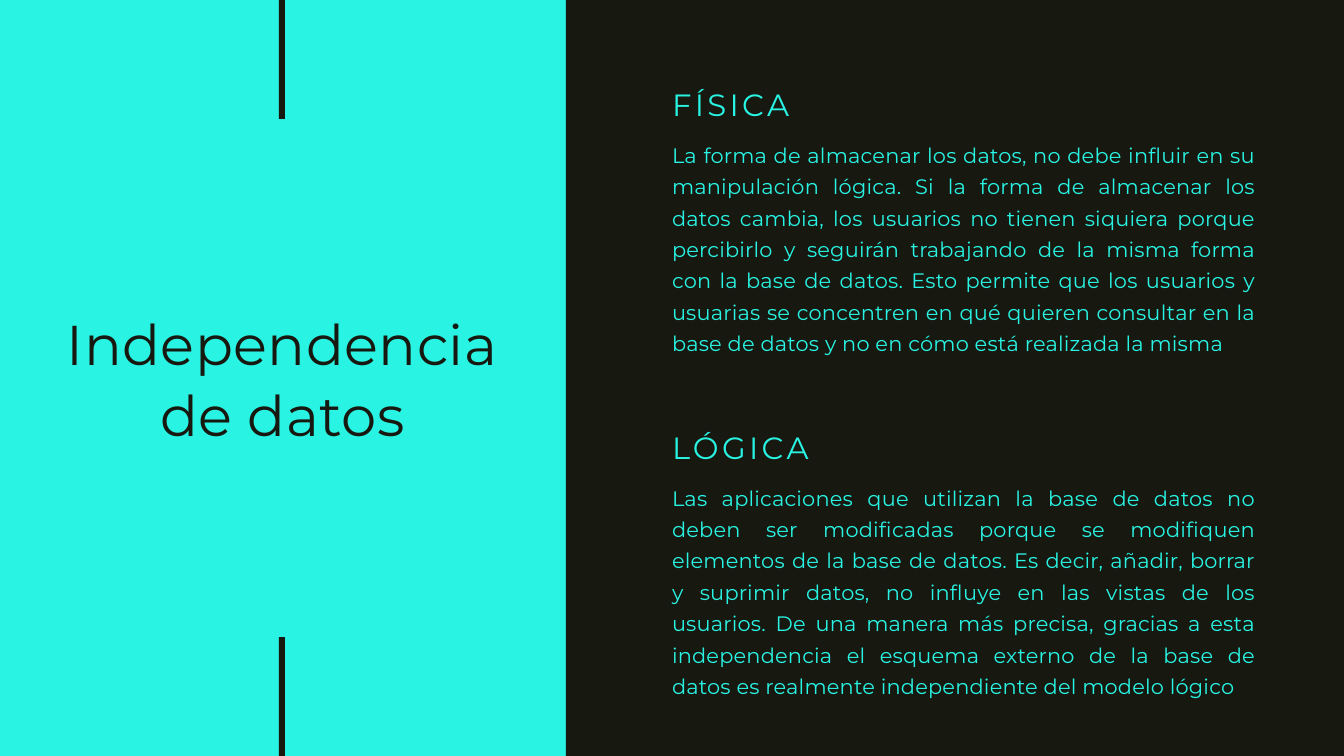
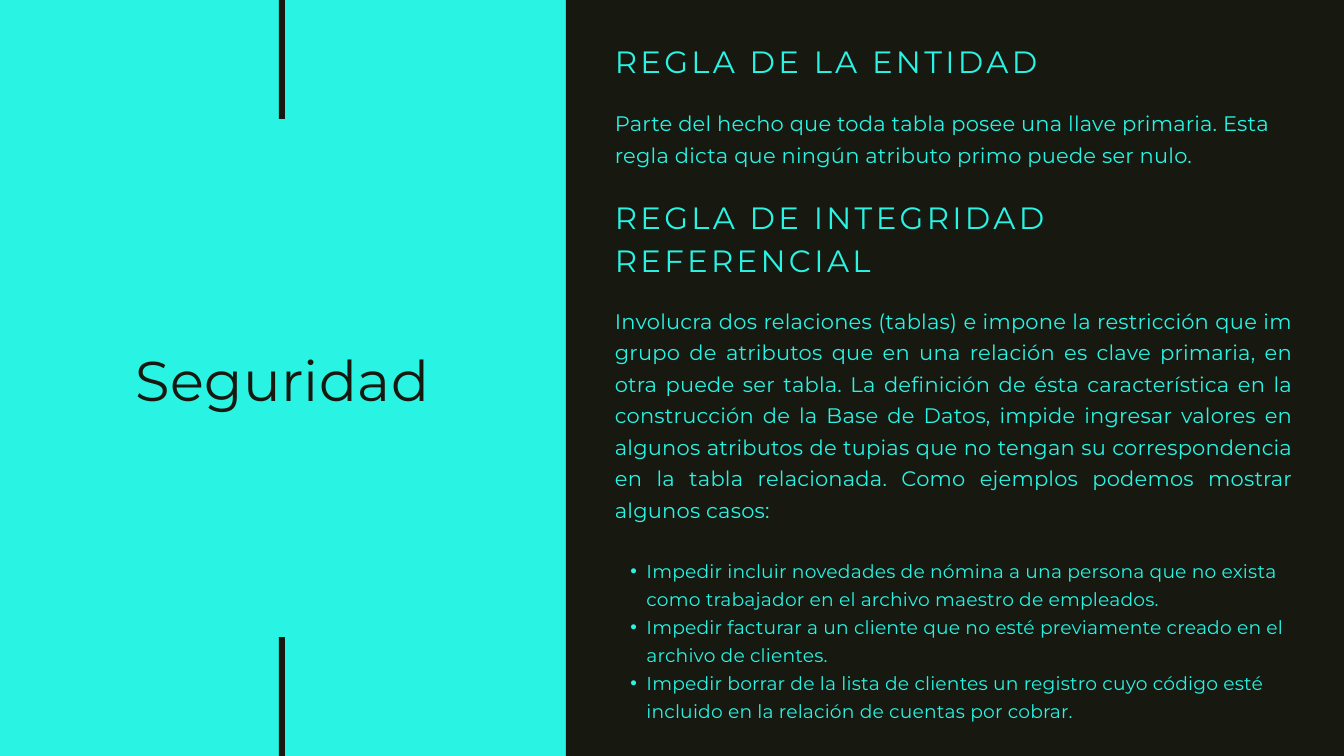
"""Build two split-panel slides on data independence and data security."""
from dataclasses import dataclass

from pptx import Presentation
from pptx.dml.color import RGBColor
from pptx.enum import shapes, text
from pptx.oxml import ns
from pptx.slide import Slide
from pptx.util import Inches, Pt
from lxml import etree

AQUA = RGBColor(0x29, 0xF3, 0xE2)
DARK = RGBColor(0x17, 0x18, 0x10)
FONT = "Montserrat"
WIDE, HIGH = 20, 11.25
PANEL = 8.42
BAR_X, BAR_W, BAR_H = 4.15, 0.09, 1.77
LEFT, MID, JUST = text.PP_ALIGN.LEFT, text.PP_ALIGN.CENTER, text.PP_ALIGN.JUSTIFY


@dataclass(frozen=True)
class Style:
    """Look of a paragraph, with sizes in points."""
    size: float
    pitch: float
    track: float
    color: RGBColor = AQUA
    align: text.PP_ALIGN = LEFT
    bullet: bool = False


@dataclass(frozen=True)
class Para:
    """A paragraph with its style and the gap above it in points."""
    words: str
    style: Style
    gap: float = 0


@dataclass(frozen=True)
class Box:
    """A text block placed in inches."""
    left: float
    top: float
    width: float
    height: float
    paras: tuple[Para, ...]


@dataclass(frozen=True)
class Page:
    """A slide with its title block and the blocks on the panel."""
    title: Box
    boxes: tuple[Box, ...]


TITLE = Style(60, 75.6, 0.5, DARK, MID)
HEAD = Style(32.9, 46.1, 3.6)
BODY = Style(22.4, 33.6, 0.2, align=JUST)
RULE = Style(33, 46.2, 3.6)
NOTE = Style(22.5, 33.8, 0.2)
LONG = Style(22.5, 33.8, 0.2, align=JUST)
ITEM = Style(20, 30, 0.2, bullet=True)


def title(words: str, lines: int) -> Box:
    """Center a title block of some lines on the left side."""
    high = lines * TITLE.pitch / 72
    return Box(0.86, round(5.61 - high / 2, 2), 6.69, round(high, 2), (Para(words, TITLE),))


def topic(top: float, head: str, body: str) -> tuple[Box, Box]:
    """Pair a heading with the paragraph below it."""
    return (Box(10, top, 8.72, 0.6, (Para(head, HEAD),)),
            Box(10, top + 0.84, 8.69, 3.23, (Para(body, BODY),)))


def rule(top: float, high: float, head: str) -> Box:
    """Place the heading of a rule."""
    return Box(9.15, top, 10.12, high, (Para(head, RULE),))


def prose(top: float, high: float, *paras: Para) -> Box:
    """Place the text of a rule."""
    return Box(9.15, top, 10.09, high, paras)


CASES = (
    "Impedir incluir novedades de nómina a una persona que no exista como trabajador "
    "en el archivo maestro de empleados.",
    "Impedir facturar a un cliente que no esté previamente creado en el archivo de clientes.",
    "Impedir borrar de la lista de clientes un registro cuyo código esté incluido en la "
    "relación de cuentas por cobrar.",
)

PAGES = (
    Page(title("Independencia de datos", 2), (
        *topic(1.19, "FÍSICA",
               "La forma de almacenar los datos, no debe influir en su manipulación lógica. "
               "Si la forma de almacenar los datos cambia, los usuarios no tienen siquiera "
               "porque percibirlo y seguirán trabajando de la misma forma con la base de "
               "datos. Esto permite que los usuarios y usuarias se concentren en qué quieren "
               "consultar en la base de datos y no en cómo está realizada la misma"),
        *topic(6.29, "LÓGICA",
               "Las aplicaciones que utilizan la base de datos no deben ser modificadas "
               "porque se modifiquen elementos de la base de datos. Es decir, añadir, borrar "
               "y suprimir datos, no influye en las vistas de los usuarios. De una manera más "
               "precisa, gracias a esta independencia el esquema externo de la base de datos "
               "es realmente independiente del modelo lógico"),
    )),
    Page(title("Seguridad", 1), (
        rule(0.54, 0.62, "REGLA DE LA ENTIDAD"),
        prose(1.55, 0.92, Para(
            "Parte del hecho que toda tabla posee una llave primaria. Esta regla dicta que "
            "ningún atributo primo puede ser nulo.", NOTE)),
        rule(2.87, 1.25, "REGLA DE INTEGRIDAD REFERENCIAL"),
        prose(4.49, 6.23, Para(
            "Involucra dos relaciones (tablas) e impone la restricción que im grupo de "
            "atributos que en una relación es clave primaria, en otra puede ser tabla. La "
            "definición de ésta característica en la construcción de la Base de Datos, impide "
            "ingresar valores en algunos atributos de tupias que no tengan su correspondencia "
            "en la tabla relacionada. Como ejemplos podemos mostrar algunos casos:", LONG),
            *(Para(case, ITEM, 0 if i else LONG.pitch) for i, case in enumerate(CASES))),
    )),
)


def add_rect(slide: Slide, left: float, top: float, width: float, height: float) -> None:
    """Draw a plain dark rectangle."""
    rect = slide.shapes.add_shape(shapes.MSO_SHAPE.RECTANGLE, Inches(left), Inches(top),
                                  Inches(width), Inches(height))
    rect.shadow.inherit = False
    rect.fill.solid()
    rect.fill.fore_color.rgb = DARK
    rect.line.fill.background()


def add_box(slide: Slide, box: Box) -> None:
    """Write a text block without margins."""
    frame = slide.shapes.add_textbox(Inches(box.left), Inches(box.top),
                                     Inches(box.width), Inches(box.height)).text_frame
    frame.word_wrap = True
    frame.auto_size = text.MSO_AUTO_SIZE.SHAPE_TO_FIT_TEXT
    frame.margin_left = frame.margin_right = frame.margin_top = frame.margin_bottom = 0
    for i, para in enumerate(box.paras):
        style = para.style
        line = frame.add_paragraph() if i else frame.paragraphs[0]
        line.alignment = style.align
        line.line_spacing = Pt(style.pitch)
        line.space_before = Pt(para.gap)
        if style.bullet:
            line.level = 1
            props = line._p.get_or_add_pPr()
            props.set("marL", str(Inches(0.47)))
            props.set("indent", str(Inches(-0.24)))
            etree.SubElement(props, ns.qn("a:buFont"), typeface="Arial")
            etree.SubElement(props, ns.qn("a:buChar"), char="•")
        run = line.add_run()
        run.text = para.words
        run.font.name = FONT
        run.font.size = Pt(style.size)
        run.font.color.rgb = style.color
        run._r.get_or_add_rPr().set("spc", str(round(style.track * 100)))


def add_page(deck: Presentation, page: Page) -> None:
    """Add a slide with the shared panel and bars."""
    slide = deck.slides.add_slide(deck.slide_layouts[6])
    slide.background.fill.solid()
    slide.background.fill.fore_color.rgb = AQUA
    add_box(slide, page.title)
    add_rect(slide, PANEL, 0, WIDE - PANEL, HIGH)
    for box in page.boxes:
        add_box(slide, box)
    for top in (0, HIGH - BAR_H):
        add_rect(slide, BAR_X, top, BAR_W, BAR_H)


def main() -> None:
    """Build and save the deck."""
    deck = Presentation()
    deck.slide_width, deck.slide_height = Inches(WIDE), Inches(HIGH)
    for page in PAGES:
        add_page(deck, page)
    deck.save("out.pptx")


if __name__ == "__main__":
    main()
